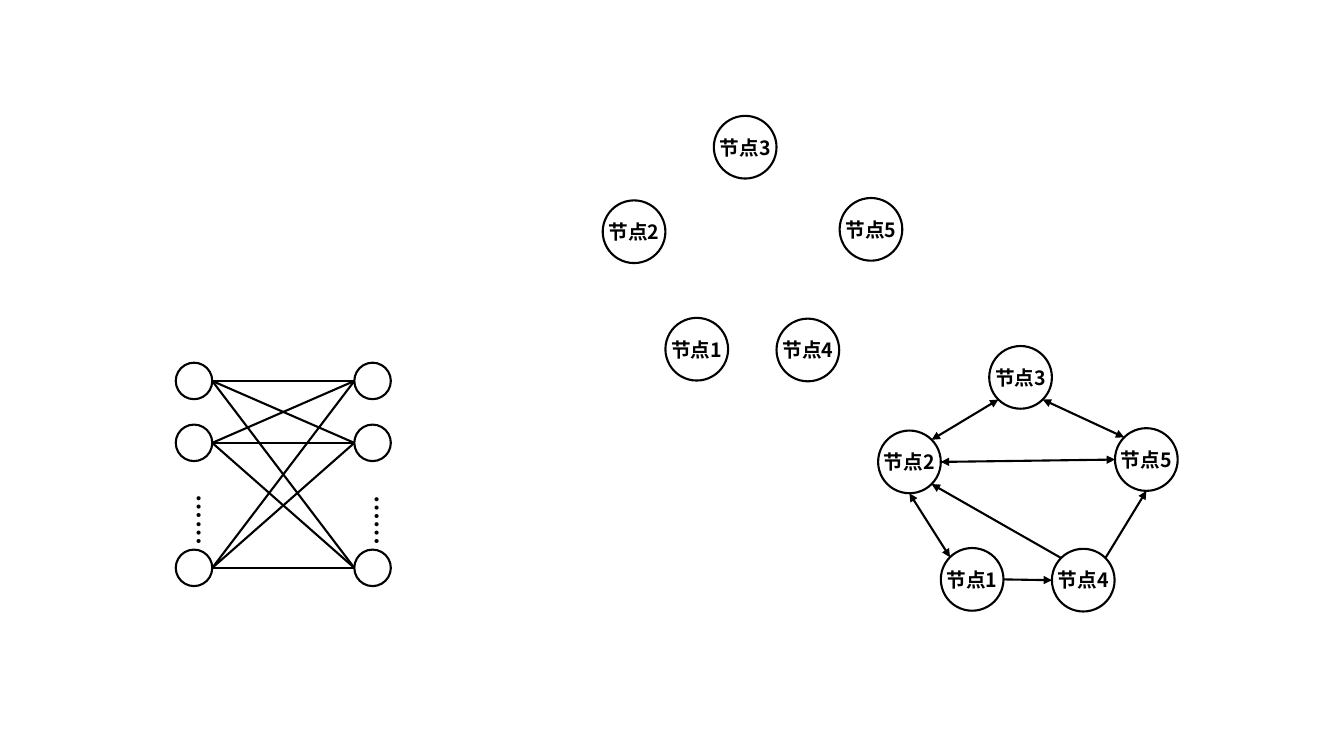
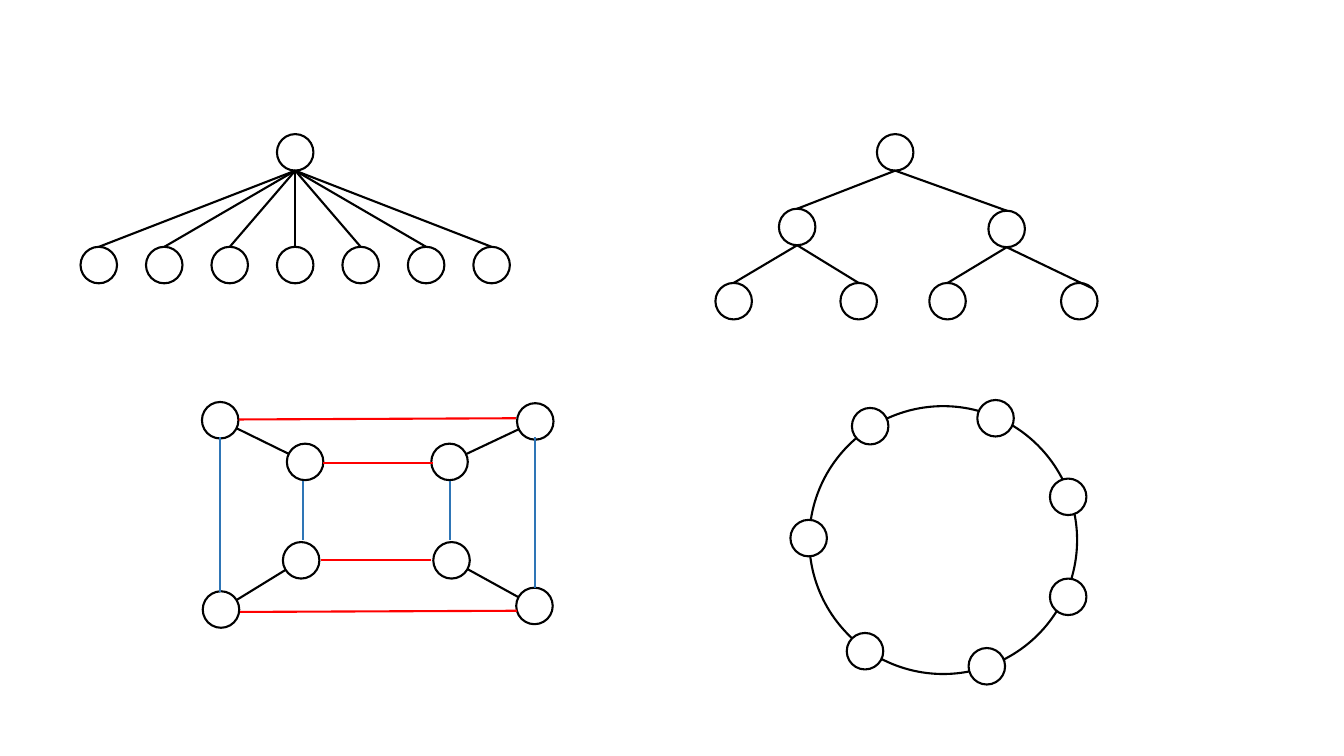
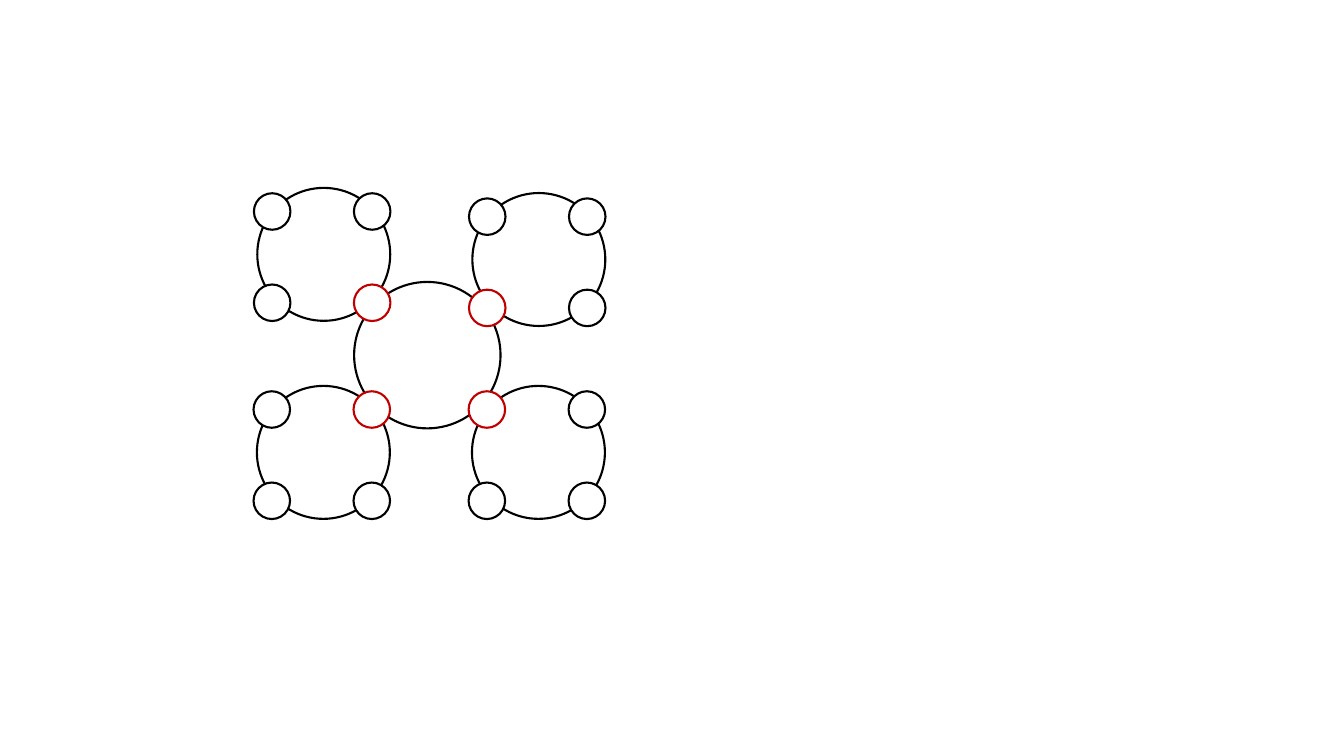
"""Draw network topology diagrams on three slides."""
from itertools import product
from math import atan2, cos, radians, sin

from lxml.etree import SubElement
from pptx import Presentation
from pptx.dml.color import RGBColor
from pptx.enum.shapes import MSO_CONNECTOR as Link, MSO_SHAPE as Preset
from pptx.enum.text import MSO_ANCHOR, PP_ALIGN
from pptx.oxml.ns import qn
from pptx.util import Cm, Pt

BLACK = RGBColor(0x00, 0x00, 0x00)
WHITE = RGBColor(0xFF, 0xFF, 0xFF)
RED = RGBColor(0xFF, 0x00, 0x00)
DARK_RED = RGBColor(0xC0, 0x00, 0x00)
BLUE = RGBColor(0x2E, 0x75, 0xB6)
FONT = "Noto Sans CJK SC"

SMALL = 0.92
LARGE = 1.58
ANGLES = {"E": 0, "SE": 45, "S": 90, "SW": 135, "W": 180, "NW": 225, "N": 270, "NE": 315}

LAYER_XS = (4.89, 9.39)
LAYER_YS = (9.6, 11.16, 14.31)
ELLIPSES = [(4.27, 12.22), (8.74, 12.24)]

PENTAGON = {
    "节点1": (2.37, 5.89),
    "节点2": (0.79, 2.93),
    "节点3": (3.59, 0.8),
    "节点4": (5.17, 5.91),
    "节点5": (6.76, 2.87),
}
PLAIN_ORIGIN = (15.19, 2.91)
LINKED_ORIGIN = (22.13, 8.71)
ARROWS = [
    ("节点2", "NE", "节点3", "SW", True),
    ("节点3", "SE", "节点5", "NW", True),
    ("节点2", "E", "节点5", "W", True),
    ("节点1", "NW", "节点2", "S", True),
    ("节点1", "E", "节点4", "W", False),
    ("节点4", "NE", "节点5", "S", False),
    ("节点4", "NW", "节点2", "SE", False),
]

STAR_ROOT = (7.44, 3.84)
STAR_LEAVES = [(2.49 + 1.65 * column, 6.68) for column in range(7)]
TREE = [(22.56, 3.84), (20.09, 5.72), (25.37, 5.77),
        (18.49, 7.59), (21.64, 7.59), (23.88, 7.59), (27.2, 7.59)]
TREE_ENDS = ["N", "N", "N", "N", "N", "NE"]

CUBE_SPOKES = [
    ((5.55, 10.59), (7.69, 11.64)),
    ((5.57, 15.36), (7.59, 14.12)),
    ((13.49, 10.62), (11.33, 11.64)),
    ((13.47, 15.27), (11.38, 14.12)),
]
CUBE_SIDES = {
    BLUE: [
        ((7.64, 12.12), (7.64, 13.61)),
        ((11.35, 12.12), (11.35, 13.61)),
        ((5.54, 11.02), (5.54, 14.91)),
        ((13.49, 11.02), (13.49, 14.81)),
    ],
    RED: [
        ((8.13, 11.66), (10.9, 11.66)),
        ((8.08, 14.12), (10.87, 14.12)),
        ((6.05, 15.42), (13.03, 15.39)),
        ((6.02, 10.57), (13, 10.54)),
    ],
}

RING = (23.77, 13.61)
RING_SIZE = 6.75
RING_BEADS = [(21.93, 10.74), (25.09, 10.54), (20.38, 13.56), (21.8, 16.41),
              (24.87, 16.79), (26.92, 15.04), (26.92, 12.52)]

HUB = (10.77, 8.95)
HUB_SIZE = 3.69
SATELLITES = [(8.16, 6.41), (13.58, 6.54), (8.15, 11.4), (13.57, 11.4)]
SATELLITE_SIZE = 3.35
BEAD_XS = (-1.3, 1.22)
BEAD_YS = (-1.08, 1.22)


def style_text(para, size):
    font = para.font
    font.size, font.bold, font.name = Pt(size), True, FONT
    font.color.rgb = BLACK
    SubElement(font._rPr, qn("a:ea"), typeface=FONT)


def add_circle(page, center, size=SMALL, color=BLACK, fill=None, label="", preset=Preset.OVAL):
    left, top = (value - size / 2 for value in center)
    circle = page.shapes.add_shape(preset, Cm(left), Cm(top), Cm(size), Cm(size))
    circle.shadow.inherit = False
    circle.line.color.rgb = color
    circle.line.width = Pt(1.5)
    if fill is None:
        circle.fill.background()
    else:
        circle.fill.solid()
        circle.fill.fore_color.rgb = fill
    if label:
        frame = circle.text_frame
        frame.word_wrap = False
        frame.vertical_anchor = MSO_ANCHOR.MIDDLE
        frame.margin_left = frame.margin_right = frame.margin_top = frame.margin_bottom = 0
        para = frame.paragraphs[0]
        para.text = label
        para.alignment = PP_ALIGN.CENTER
        style_text(para, 14)


def add_line(page, start, end, color=BLACK, heads=()):
    line = page.shapes.add_connector(Link.STRAIGHT, *(Cm(value) for value in (*start, *end)))
    line.line.color.rgb = color
    line.line.width = Pt(1.5)
    for head in heads:
        SubElement(line.line._get_or_add_ln(), qn(f"a:{head}"), type="triangle")
    SubElement(line._element.spPr, qn("a:effectLst"))


def rim(center, angle, size=SMALL):
    x, y = center
    return x + size / 2 * cos(angle), y + size / 2 * sin(angle)


def side(center, compass, size=SMALL):
    return rim(center, radians(ANGLES[compass]), size)


def add_dots(page, left, top):
    box = page.shapes.add_textbox(Cm(left), Cm(top), Cm(1.27), Cm(2.29))
    box.text_frame.word_wrap = True
    box.text_frame._txBody.bodyPr.set("vert", "eaVert")
    para = box.text_frame.paragraphs[0]
    para.text = "……"
    style_text(para, 18)


def add_layers(page):
    inputs, outputs = ([(x, y) for y in LAYER_YS] for x in LAYER_XS)
    for center in inputs + outputs:
        add_circle(page, center, preset=Preset.FLOWCHART_CONNECTOR)
    for start, end in product(inputs, outputs):
        add_line(page, side(start, "E"), side(end, "W"))
    for left, top in ELLIPSES:
        add_dots(page, left, top)


def add_pentagon(page, origin, arrows=()):
    nodes = {name: (origin[0] + x, origin[1] + y) for name, (x, y) in PENTAGON.items()}
    for start, start_side, end, end_side, both in arrows:
        heads = ("headEnd", "tailEnd") if both else ("tailEnd",)
        add_line(page, side(nodes[start], start_side, LARGE),
                 side(nodes[end], end_side, LARGE), heads=heads)
    for name, center in nodes.items():
        add_circle(page, center, LARGE, label=name)


def add_trees(page):
    for center in [STAR_ROOT, *STAR_LEAVES, *TREE]:
        add_circle(page, center)
    for leaf in STAR_LEAVES:
        add_line(page, side(STAR_ROOT, "S"), side(leaf, "N"))
    for index, (child, end) in enumerate(zip(TREE[1:], TREE_ENDS)):
        add_line(page, side(TREE[index // 2], "S"), side(child, end))


def add_cube(page):
    for outer, inner in CUBE_SPOKES:
        angle = atan2(inner[1] - outer[1], inner[0] - outer[0])
        add_circle(page, outer)
        add_circle(page, inner)
        add_line(page, rim(outer, angle), rim(inner, angle + radians(180)))
    for color, lines in CUBE_SIDES.items():
        for start, end in lines:
            add_line(page, start, end, color)


def add_ring(page):
    add_circle(page, RING, RING_SIZE)
    for center in RING_BEADS:
        add_circle(page, center, fill=WHITE)


def add_ring_cluster(page):
    add_circle(page, HUB, HUB_SIZE)
    for x, y in SATELLITES:
        add_circle(page, (x, y), SATELLITE_SIZE)
        for dx, dy in product(BEAD_XS, BEAD_YS):
            shared = (dx > 0) == (x < HUB[0]) and (dy > 0) == (y < HUB[1])
            add_circle(page, (x + dx, y + dy), color=DARK_RED if shared else BLACK, fill=WHITE)


def main():
    deck = Presentation()
    deck.slide_width, deck.slide_height = Cm(33.87), Cm(19.05)
    graphs, topologies, cluster = (deck.slides.add_slide(deck.slide_layouts[6]) for _ in range(3))
    add_layers(graphs)
    add_pentagon(graphs, PLAIN_ORIGIN)
    add_pentagon(graphs, LINKED_ORIGIN, ARROWS)
    add_trees(topologies)
    add_cube(topologies)
    add_ring(topologies)
    add_ring_cluster(cluster)
    deck.save("out.pptx")


if __name__ == "__main__":
    main()
